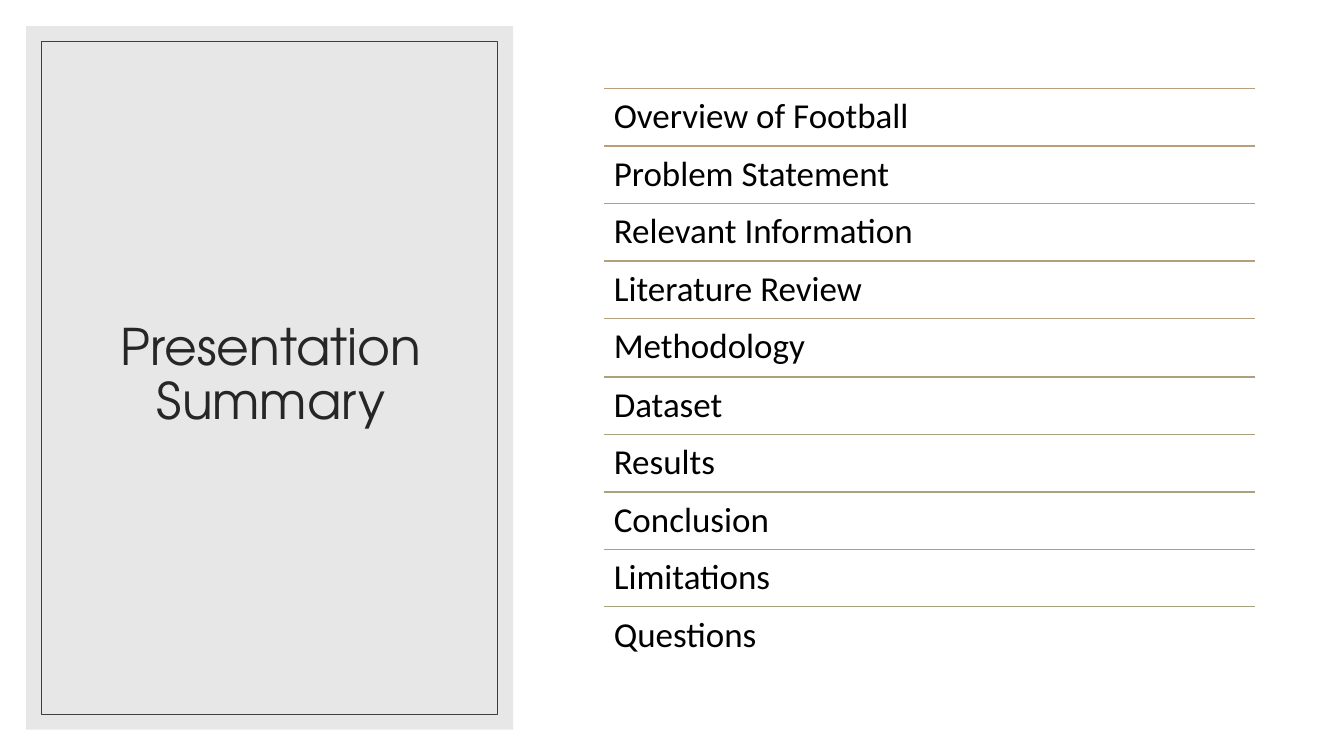
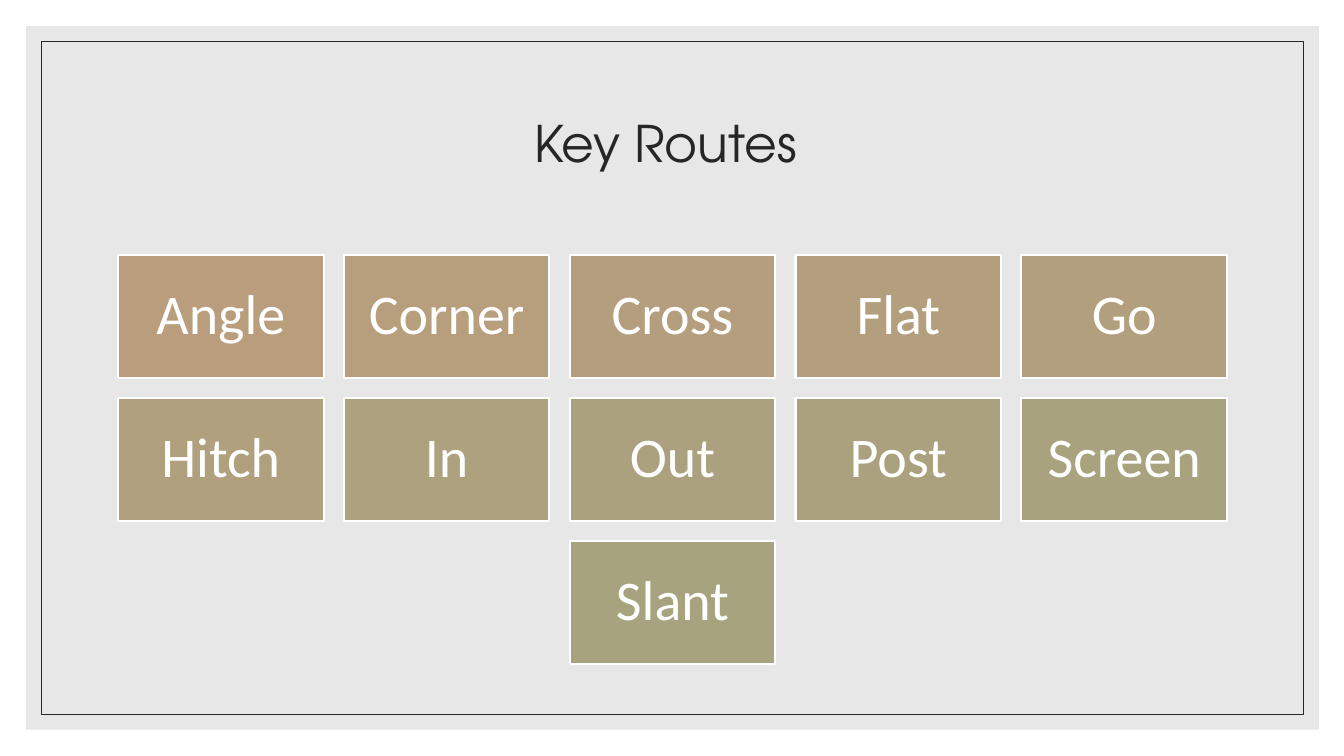
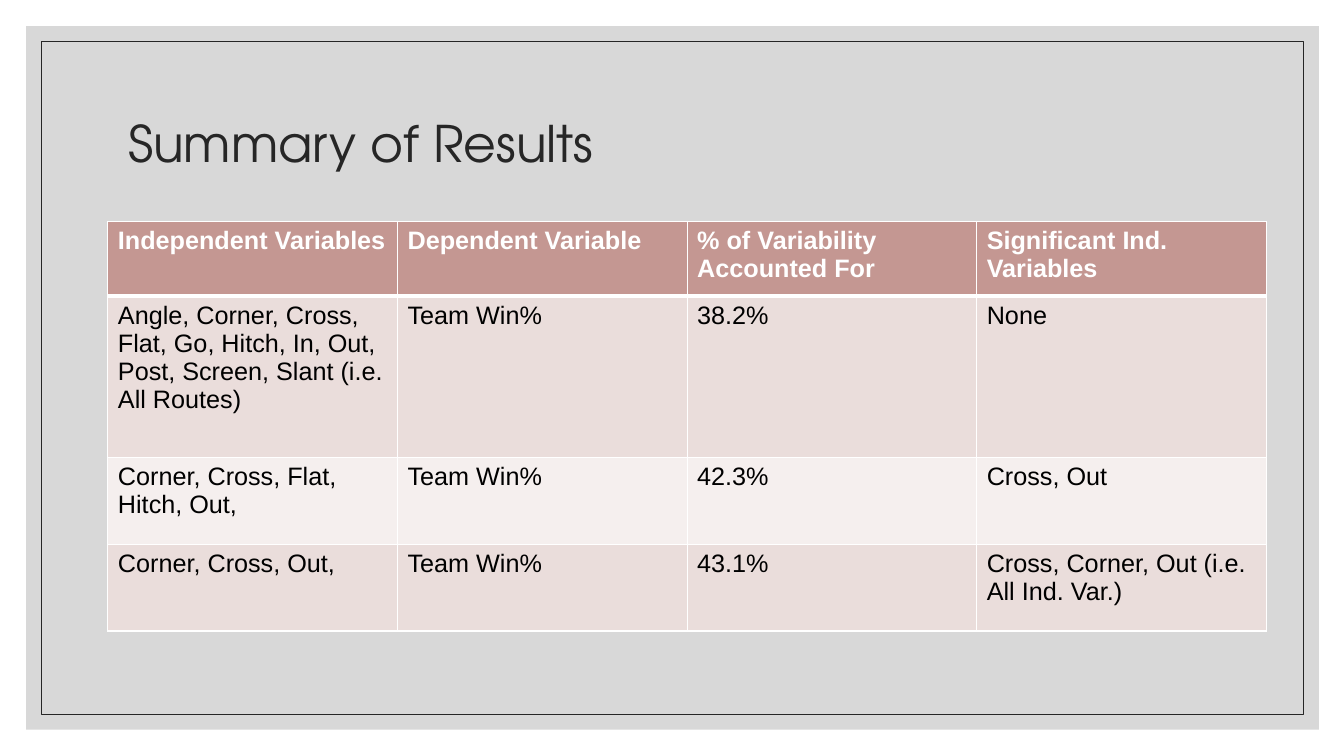
from dataclasses import dataclass
from typing import NamedTuple

from lxml.etree import SubElement
from pptx import Presentation
from pptx.dml.color import RGBColor as Rgb
from pptx.enum.shapes import MSO_CONNECTOR as Link, MSO_SHAPE as Form
from pptx.enum.text import MSO_ANCHOR as Anchor, MSO_AUTO_SIZE as Fit, PP_ALIGN as Align
from pptx.oxml import parse_xml
from pptx.oxml.ns import nsdecls, qn
from pptx.util import Emu, Pt

SCALE = 9144  # EMU in one px, 100 px to the inch


def px(num: int) -> Emu:
    return Emu(num * SCALE)


# Theme
@dataclass(frozen=True)
class Theme:
    white: str = "FFFFFF"
    black: str = "000000"
    ink: str = "262626"
    edge: str = "3F3F3F"
    pale: str = "D8D8D8"
    grey: str = "BFBFBF"
    warm: str = "B99D7D"
    cool: str = "A6A37E"
    head: str = "C49792"
    odd: str = "EADDDB"
    even: str = "F5EFEE"
    display: str = "TeX Gyre Adventor"
    body: str = "Calibri"
    plain: str = "Arial"
    title: int = 36
    item: int = 25
    tile: int = 40
    cell: int = 18
    alpha: int = 60


THEME = Theme()


class Box(NamedTuple):
    x: int
    y: int
    w: int
    h: int

    def emu(self) -> list[Emu]:
        return [px(num) for num in self]

    def inset(self, gap: int) -> "Box":
        return Box(self.x + gap, self.y + gap, self.w - 2 * gap, self.h - 2 * gap)


@dataclass(frozen=True)
class Look:
    face: str
    size: int
    ink: str
    bold: bool = False
    align: Align = Align.LEFT
    anchor: Anchor = Anchor.TOP
    pad: tuple[int, int] = (10, 5)
    space: float = 0.9


@dataclass(frozen=True)
class Panel:
    box: Box
    fill: str
    edge: str
    title: str
    spot: Box
    align: Align = Align.CENTER


WIDE = Box(26, 26, 1282, 698)
TOP = Box(117, 70, 1100, 150)
ITEM = Look(THEME.body, THEME.item, THEME.black, pad=(10, 10))
TILE = Look(THEME.body, THEME.tile, THEME.white, align=Align.CENTER,
            anchor=Anchor.MIDDLE, pad=(17, 17))
CELL = Look(THEME.plain, THEME.cell, THEME.black, space=1.0)
HEAD = Look(THEME.plain, THEME.cell, THEME.white, bold=True, space=1.0)


# Shared parts
def assign(obj, vals: dict) -> None:
    for key, val in vals.items():
        setattr(obj, key, val)


def pads(look: Look) -> dict:
    wide, high = map(px, look.pad)
    return {"margin_left": wide, "margin_right": wide,
            "margin_top": high, "margin_bottom": high}


def write(frame, text: str, look: Look) -> None:
    para = frame.paragraphs[0]
    assign(para, {"alignment": look.align, "line_spacing": look.space})
    run = para.add_run()
    run.text = text
    assign(run.font, {"name": look.face, "size": Pt(look.size), "bold": look.bold})
    run.font.color.rgb = Rgb.from_string(look.ink)


def label(shape, text: str, look: Look) -> None:
    frame = shape.text_frame
    assign(frame, {"word_wrap": True, "auto_size": Fit.NONE,
                   "vertical_anchor": look.anchor, **pads(look)})
    write(frame, text, look)


def rect(slide, box: Box, fill: str = "", line: str = "", width: float = 0.75):
    shape = slide.shapes.add_shape(Form.RECTANGLE, *box.emu())
    shape.shadow.inherit = False
    if fill:
        shape.fill.solid()
        shape.fill.fore_color.rgb = Rgb.from_string(fill)
    else:
        shape.fill.background()
    if line:
        shape.line.color.rgb = Rgb.from_string(line)
        shape.line.width = Pt(width)
    else:
        shape.line.fill.background()
    return shape


def rule(slide, x: int, y: int, wide: int, ink: str) -> None:
    line = slide.shapes.add_connector(Link.STRAIGHT, px(x), px(y), px(x + wide), px(y))
    line.line.color.rgb = Rgb.from_string(ink)
    line.line.width = Pt(1)
    SubElement(line.element.spPr, qn("a:effectLst"))


def start(deck, panel: Panel):
    """Add a slide with its panel, inner frame and title."""
    slide = deck.slides.add_slide(deck.slide_layouts[5])
    back = rect(slide, panel.box, panel.fill)
    tint = back.element.spPr.find(".//" + qn("a:srgbClr"))
    SubElement(tint, qn("a:alpha"), val=str(THEME.alpha * 1000))
    rect(slide, panel.box.inset(15), line=panel.edge)
    title = slide.shapes.title
    title.element.getparent().append(title.element)
    assign(title, dict(zip(("left", "top", "width", "height"), panel.spot.emu())))
    label(title, panel.title, Look(THEME.display, THEME.title, THEME.ink,
                                   align=panel.align, anchor=Anchor.MIDDLE))
    return slide


def blend(step: int, count: int) -> str:
    """Colour of one step on the way from warm to cool."""
    ends = zip(Rgb.from_string(THEME.warm), Rgb.from_string(THEME.cool))
    return str(Rgb(*(round(a + (b - a) * step / (count - 1)) for a, b in ends)))


# Summary list
TOPICS = ("Overview of Football", "Problem Statement", "Relevant Information",
          "Literature Review", "Methodology", "Dataset", "Results",
          "Conclusion", "Limitations", "Questions")


def agenda(deck) -> None:
    slide = start(deck, Panel(Box(26, 26, 483, 698), THEME.pale, THEME.edge,
                              "Presentation Summary", Box(63, 61, 412, 624)))
    area = Box(599, 88, 646, 572)
    count = len(TOPICS)
    for num, text in enumerate(TOPICS):
        y = area.y + area.h * num // count
        rule(slide, area.x, y, area.w, blend(num, count))
        box = Box(area.x, y, area.w, area.h // count)
        label(slide.shapes.add_textbox(*box.emu()), text, ITEM)


# Route tiles
ROUTES = ("Angle", "Corner", "Cross", "Flat", "Go", "Hitch", "In", "Out",
          "Post", "Screen", "Slant")


def routes(deck) -> None:
    slide = start(deck, Panel(WIDE, THEME.pale, THEME.ink, "Key Routes ", TOP))
    first, cols, gap = Box(117, 253, 204, 122), 5, 20
    step = first.w + gap
    for num, text in enumerate(ROUTES):
        row, col = divmod(num, cols)
        used = min(cols, len(ROUTES) - row * cols)
        x = first.x + (cols - used) * step // 2 + col * step
        y = first.y + row * (first.h + gap)
        tile = rect(slide, Box(x, y, first.w, first.h),
                    blend(num, len(ROUTES)), THEME.white, 1.5)
        label(tile, text, TILE)


# Results table
class Row(NamedTuple):
    high: int
    fill: str
    look: Look
    cells: tuple[str, ...]


ROWS = (
    Row(74, THEME.head, HEAD, ("Independent Variables", "Dependent Variable",
                               "% of Variability Accounted For",
                               "Significant Ind. Variables")),
    Row(160, THEME.odd, CELL, ("Angle, Corner, Cross, Flat, Go, Hitch, In, Out, Post, "
                               "Screen, Slant (i.e. All Routes)",
                               "Team Win%", "38.2%", "None")),
    Row(86, THEME.even, CELL, ("Corner, Cross, Flat, Hitch, Out,",
                               "Team Win%", "42.3%", "Cross, Out")),
    Row(86, THEME.odd, CELL, ("Corner, Cross, Out,", "Team Win%", "43.1%",
                              "Cross, Corner, Out (i.e. All Ind. Var.)")),
)


def border(cell, row: int) -> None:
    heavy = {(0, "B"), (1, "T")}
    for num, side in enumerate("LRTB"):
        width = Pt(3 if (row, side) in heavy else 1)
        cell._tc.get_or_add_tcPr().insert(num, parse_xml(
            f'<a:ln{side} {nsdecls("a")} w="{width}"><a:solidFill>'
            f'<a:srgbClr val="{THEME.white}"/></a:solidFill></a:ln{side}>'))


def results(deck) -> None:
    slide = start(deck, Panel(WIDE, THEME.grey, THEME.ink, "Summary of Results",
                              TOP, Align.LEFT))
    cols = len(ROWS[0].cells)
    box = Box(107, 220, 1149, sum(row.high for row in ROWS))
    table = slide.shapes.add_table(len(ROWS), cols, *box.emu()).table
    table.horz_banding = False
    for y, row in enumerate(ROWS):
        table.rows[y].height = px(row.high)
        for x, text in enumerate(row.cells):
            cell = table.cell(y, x)
            cell.fill.solid()
            cell.fill.fore_color.rgb = Rgb.from_string(row.fill)
            border(cell, y)
            assign(cell, pads(row.look))
            write(cell.text_frame, text, row.look)


def main() -> None:
    deck = Presentation()
    assign(deck, {"slide_width": px(1333), "slide_height": px(750)})
    for draw in (agenda, routes, results):
        draw(deck)
    deck.save("out.pptx")


if __name__ == "__main__":
    main()
